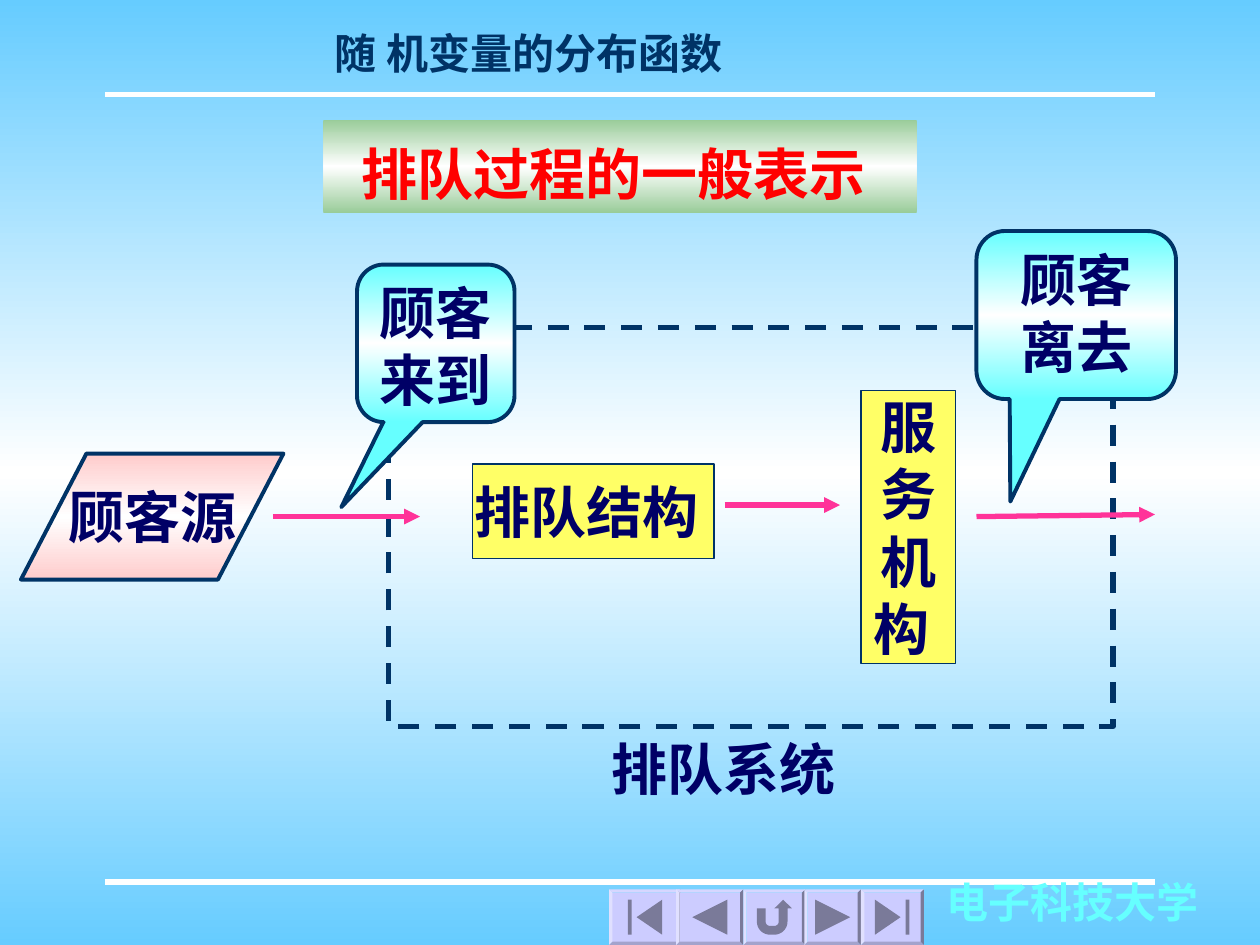
from copy import deepcopy
from dataclasses import dataclass
from math import cos, pi, sin

from lxml.etree import SubElement
from pptx import Presentation
from pptx.dml.color import RGBColor
from pptx.enum.dml import MSO_LINE
from pptx.enum.shapes import MSO_CONNECTOR, MSO_SHAPE
from pptx.enum.text import MSO_ANCHOR, MSO_AUTO_SIZE, PP_ALIGN
from pptx.oxml.ns import qn
from pptx.util import Inches, Pt

COLS, ROWS = 120, 90
WIDE, HIGH = Inches(10), Inches(7.5)
NAVY, INK, PINK, WHITE = "003366", "000066", "FF3399", "FFFFFF"
YELLOW, AQUA, LILAC, SLATE = "FFFF66", "66FFFF", "CCCCFF", "7A7A99"
ROMAN, SANS = "Times New Roman", "Noto Sans CJK SC"


@dataclass
class Text:
    lines: tuple[str, ...]
    color: str = INK
    size: int = 32
    font: str = ROMAN
    align: PP_ALIGN = PP_ALIGN.CENTER
    space: float | None = None
    wrap: bool = True
    middle: bool = False
    grow: bool = False


@dataclass
class Box:
    at: tuple[float, float, float, float]
    text: Text | None = None
    kind: MSO_SHAPE = MSO_SHAPE.RECTANGLE
    fill: str | None = None
    fade: str | None = None
    line: float = 0
    dash: bool = False
    adj: tuple[float, ...] = ()


@dataclass
class Rule:
    start: tuple[float, float]
    end: tuple[float, float]
    color: str = PINK
    arrow: bool = True


@dataclass
class Button:
    left: float
    width: float
    marks: list[list[tuple[float, float]]]
    flip: int = 1


def across(n: float) -> int:
    return round(WIDE * n / COLS)


def down(n: float) -> int:
    return round(HIGH * n / ROWS)


def place(at: tuple[float, ...]) -> tuple[int, ...]:
    return across(at[0]), down(at[1]), across(at[2]), down(at[3])


def paint(part, color: str) -> None:
    part.solid()
    part.fore_color.rgb = RGBColor.from_string(color)


def blend(fill, root, color: str) -> None:
    fill.gradient()
    fill.gradient_angle = 270
    stops = root.xpath(".//a:gsLst")[0]
    stops.append(deepcopy(stops[0]))
    for stop, pos in zip(stops, (0, 50000, 100000)):
        stop.set("pos", str(pos))
    for stop, tone in zip(fill.gradient_stops, (color, WHITE, color)):
        stop.color.rgb = RGBColor.from_string(tone)


def write(shape, text: Text) -> None:
    frame = shape.text_frame
    frame.word_wrap = text.wrap
    frame.vertical_anchor = MSO_ANCHOR.MIDDLE if text.middle else MSO_ANCHOR.TOP
    frame.auto_size = MSO_AUTO_SIZE.SHAPE_TO_FIT_TEXT if text.grow else MSO_AUTO_SIZE.NONE
    for i, line in enumerate(text.lines):
        para = frame.add_paragraph() if i else frame.paragraphs[0]
        para.alignment = text.align
        if text.space:
            para.line_spacing = text.space
        run = para.add_run()
        run.text = line
        run.font.name, run.font.size, run.font.bold = text.font, Pt(text.size), True
        run.font.color.rgb = RGBColor.from_string(text.color)


def label(slide, at: tuple[float, ...], text: Text) -> None:
    write(slide.shapes.add_textbox(*place(at)), text)


def block(slide, box: Box) -> None:
    shape = slide.shapes.add_shape(box.kind, *place(box.at))
    shape.shadow.inherit = False
    for i, value in enumerate(box.adj):
        shape.adjustments[i] = value
    if box.fade:
        blend(shape.fill, shape.element, box.fade)
    elif box.fill:
        paint(shape.fill, box.fill)
    else:
        shape.fill.background()
    if box.line:
        paint(shape.line.fill, NAVY)
        shape.line.width = Pt(box.line)
    else:
        shape.line.fill.background()
    if box.dash:
        shape.line.dash_style = MSO_LINE.DASH
    if box.text:
        write(shape, box.text)


def stroke(slide, rule: Rule) -> None:
    (x, y), (u, v) = rule.start, rule.end
    line = slide.shapes.add_connector(
        MSO_CONNECTOR.STRAIGHT, across(x), down(y), across(u), down(v))
    paint(line.line.fill, rule.color)
    line.line.width = Pt(3)
    props = line.element.spPr
    if rule.arrow:
        SubElement(props.find(qn("a:ln")), qn("a:tailEnd"), type="triangle")
    SubElement(props, qn("a:effectLst"))


def bend(x: float, y: float, size: float, start: int, end: int) -> list[tuple[float, float]]:
    turns = [(start + (end - start) * i / 8) * pi / 180 for i in range(9)]
    return [(x + size * cos(t), y + size * sin(t)) for t in turns]


def press(slide, key: Button) -> None:
    top, tall, half = 84.7, 5.3, 1.67
    block(slide, Box((key.left, top, key.width, tall), kind=MSO_SHAPE.BEVEL,
                     fill=LILAC, adj=(0.06,)))
    x, y = key.left + key.width / 2, top + tall / 2
    paths = [[(across(x + key.flip * half * a), down(y + half * b)) for a, b in mark]
             for mark in key.marks]
    pen = slide.shapes.build_freeform(*paths[0][0])
    for i, points in enumerate(paths):
        if i:
            pen.move_to(*points[0])
        pen.add_line_segments(points[1:], close=True)
    shape = pen.convert_to_shape()
    shape.shadow.inherit = False
    paint(shape.fill, SLATE)
    shape.line.fill.background()


HEAD = Text(("随 机变量的分布函数",), NAVY, 24, grow=True)
SCHOOL = Text(("电子科技大学",), AQUA, 24, align=PP_ALIGN.LEFT, space=0.7, wrap=False, grow=True)
SYSTEM = Text(("排队系统",), align=PP_ALIGN.LEFT, wrap=False, grow=True)
TITLE = Text(("排队过程的一般表示 ",), "FF0000", font=SANS, space=1.2, grow=True)


def inner(*lines: str) -> Text:
    return Text(lines, wrap=False, middle=True)


CALL = MSO_SHAPE.ROUNDED_RECTANGULAR_CALLOUT
BOXES = [
    Box((30.8, 11.4, 56.5, 8.9), TITLE, fade="99CC99"),
    Box((2, 43.2, 25, 12), inner("顾客源"), MSO_SHAPE.PARALLELOGRAM,
        fade="FFCCCC", line=2.25, adj=(0.52,)),
    Box((45, 44.2, 23, 9), inner("排队结构 "), fill=YELLOW, line=0.75),
    Box((82, 37.2, 9, 26), inner("服", "务", "机", "构 "), fill=YELLOW, line=0.75),
    Box((37, 31.2, 69, 38), line=3, dash=True),
]
CALLS = [
    Box((34, 25.2, 15, 15), Text(("顾客", "来到")), CALL,
        fade=AQUA, line=2.25, adj=(-0.6, 1.04, 0.17)),
    Box((93, 22, 19, 16), Text(("顾客离去",)), CALL,
        fade=AQUA, line=2.25, adj=(-0.33, 1.11, 0.17)),
]
EDGES = [Rule((10, y), (110, y), WHITE, False) for y in (84, 9)]
FLOWS = [Rule((26, 49.2), (40, 49.2)), Rule((69, 48.1), (80, 48.1)), Rule((93, 49.2), (110, 49))]
BACK = [[(-1, 0), (1, -1), (1, 1)]]
FIRST = [[(-0.46, 0), (1, -1), (1, 1)], [(-0.96, -1), (-0.75, -1), (-0.75, 1), (-0.96, 1)]]
TURN = [[(-1, -0.5), (-0.5, -0.5), *bend(-0.25, 0.25, 0.25, 180, 90),
         *bend(0, 0.25, 0.25, 90, 0), (0.25, -0.5), (0, -0.5), (0.5, -1), (1, -0.5),
         (0.75, -0.5), *bend(0, 0.25, 0.75, 0, 90), *bend(-0.25, 0.25, 0.75, 90, 180)]]
KEYS = [Button(58, 6.8, FIRST), Button(64.4, 6.4, BACK), Button(70.8, 5.9, TURN),
        Button(76.6, 5.4, BACK, -1), Button(82, 6, FIRST, -1)]


def main() -> None:
    """Build the queueing process slide."""
    deck = Presentation()
    deck.slide_width, deck.slide_height = WIDE, HIGH
    slide = deck.slides.add_slide(deck.slide_layouts[6])
    blend(slide.background.fill, slide.element, "66CCFF")
    for rule in EDGES:
        stroke(slide, rule)
    label(slide, (24, 2, 52.7, 6), HEAD)
    label(slide, (89, 84.2, 26.4, 4.6), SCHOOL)
    for box in BOXES:
        block(slide, box)
    for rule in FLOWS:
        stroke(slide, rule)
    for box in CALLS:
        block(slide, box)
    label(slide, (57.1, 69.4, 26.4, 7.7), SYSTEM)
    for key in KEYS:
        press(slide, key)
    deck.save("out.pptx")


if __name__ == "__main__":
    main()
